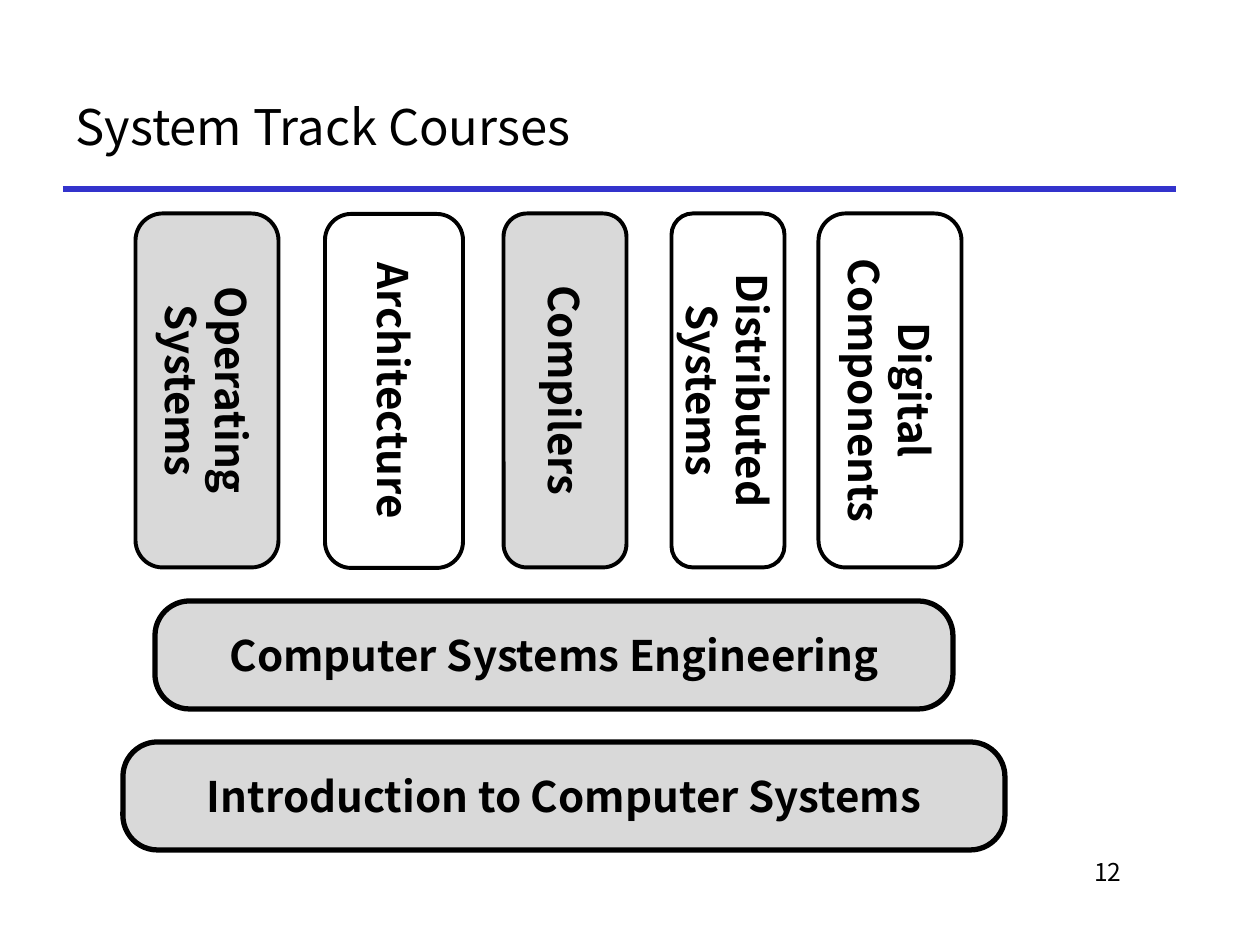
from pptx import Presentation
from pptx.dml.color import RGBColor
from pptx.enum.shapes import MSO_CONNECTOR, MSO_SHAPE
from pptx.enum.text import MSO_ANCHOR, PP_ALIGN
from pptx.oxml.ns import qn
from pptx.util import Emu, Pt
from lxml.etree import SubElement

PX = 914400 // 126
FONT = "Noto Sans CJK KR"
BLACK, BLUE, GRAY = "000000", "3333CC", "D9D9D9"

# label, centre x, width, fill
COLUMNS = [
    ("Operating Systems", 207, 143, GRAY),
    ("Architecture", 394, 138, None),
    ("Compilers", 565, 123, GRAY),
    ("Distributed Systems", 728, 113, None),
    ("Digital Components", 890, 143, None),
]
# label, left, top, width
FOUNDATIONS = [
    ("Computer Systems Engineering", 155, 601, 798),
    ("Introduction to Computer Systems", 123, 742, 882),
]


def px(*lengths):
    return [Emu(length * PX) for length in lengths]


def color(hex_string):
    return RGBColor.from_string(hex_string)


def write(shape, text, size, align, anchor, bold=False):
    frame = shape.text_frame
    frame.word_wrap = True
    frame.vertical_anchor = anchor
    paragraph = frame.paragraphs[0]
    paragraph.alignment = align
    run = paragraph.add_run()
    run.text = text
    run.font.name = FONT
    run.font.size = Pt(size)
    run.font.bold = bold
    run.font.color.rgb = color(BLACK)


def add_course(slide, text, box, fill, line_width, corner):
    shape = slide.shapes.add_shape(MSO_SHAPE.ROUNDED_RECTANGLE, *px(*box))
    shape.shadow.inherit = False
    shape.adjustments[0] = corner
    if fill:
        shape.fill.solid()
        shape.fill.fore_color.rgb = color(fill)
    else:
        shape.fill.background()
    shape.line.color.rgb = color(BLACK)
    shape.line.width = Pt(line_width)
    write(shape, text, 24, PP_ALIGN.CENTER, MSO_ANCHOR.MIDDLE, bold=True)
    return shape


def add_header(slide, left, top, width, height):
    title = slide.shapes.title
    title.left, title.top, title.width, title.height = px(left, top, width, height)
    write(title, "System Track Courses", 28, PP_ALIGN.LEFT, MSO_ANCHOR.MIDDLE)
    bottom = top + height
    rule = slide.shapes.add_connector(
        MSO_CONNECTOR.STRAIGHT, *px(left, bottom, left + width, bottom))
    rule.line.color.rgb = color(BLUE)
    rule.line.width = Pt(3)
    SubElement(rule._element.spPr, qn("a:effectLst"))


def add_columns(slide, top, height):
    """Upright courses: wide boxes turned a quarter about their centres."""
    for text, center, width, fill in COLUMNS:
        box = (center - height // 2, top + (height - width) // 2, height, width)
        add_course(slide, text, box, fill, 2.25, 0.19).rotation = 90


def add_foundations(slide, height):
    for text, left, top, width in FOUNDATIONS:
        add_course(slide, text, (left, top, width, height), GRAY, 3, 0.32)


def add_page_number(slide, box):
    number = slide.shapes.add_textbox(*px(*box))
    write(number, "12", 14, PP_ALIGN.RIGHT, MSO_ANCHOR.TOP)


def main():
    presentation = Presentation()
    presentation.slide_width, presentation.slide_height = px(1260, 945)
    slide = presentation.slides.add_slide(presentation.slide_layouts[5])
    add_header(slide, 63, 63, 1113, 126)
    add_columns(slide, 214, 354)
    add_foundations(slide, 108)
    add_page_number(slide, (955, 851, 179, 63))
    presentation.save("out.pptx")


if __name__ == "__main__":
    main()
